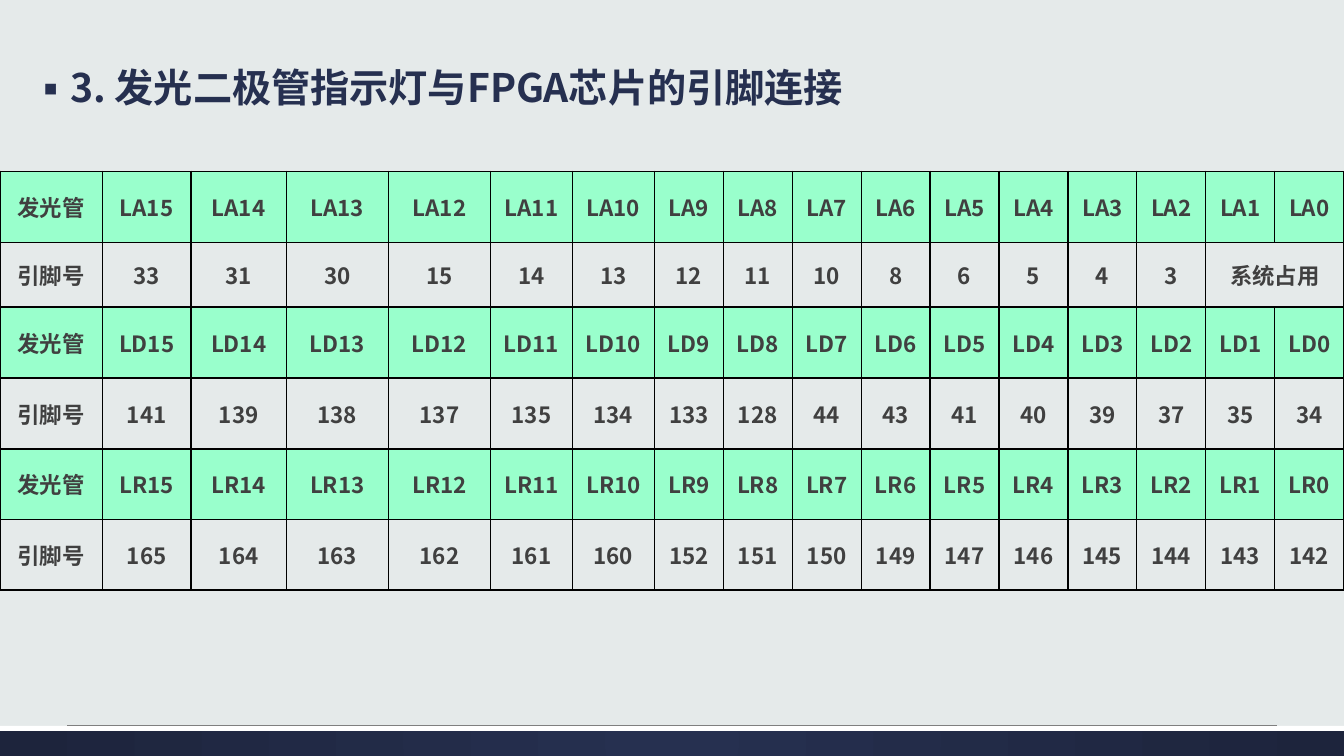
from lxml import etree
from pptx import Presentation
from pptx.dml.color import RGBColor
from pptx.enum import shapes, text
from pptx.oxml import ns
from pptx.util import Pt

BACKGROUND = RGBColor(0xE5, 0xEA, 0xEA)
NAVY = RGBColor(0x26, 0x30, 0x50)
DARK_NAVY = RGBColor(0x1D, 0x24, 0x3C)
WHITE = RGBColor(0xFF, 0xFF, 0xFF)
GREY = RGBColor(0x7F, 0x7F, 0x7F)
MINT = RGBColor(0x99, 0xFF, 0xCC)
CHARCOAL = RGBColor(0x40, 0x40, 0x40)
BLACK = RGBColor(0, 0, 0)
SANS = "Noto Sans CJK SC"
SERIF = "Times New Roman"


def write(frame, words, size, color, font=SANS, align=text.PP_ALIGN.LEFT):
    paragraph = frame.paragraphs[0]
    paragraph.alignment = align
    run = paragraph.add_run()
    run.text = words
    run.font.size = Pt(size)
    run.font.bold = True
    run.font.color.rgb = color
    run.font.name = font
    etree.SubElement(run.font._element, ns.qn("a:ea"), typeface=SANS)
    return paragraph


def add_borders(cell, widths):
    properties = cell._tc.get_or_add_tcPr()
    for position, (side, width) in enumerate(widths.items()):
        line = etree.Element(ns.qn("a:ln" + side), w=str(Pt(width)))
        fill = etree.SubElement(line, ns.qn("a:solidFill"))
        etree.SubElement(fill, ns.qn("a:srgbClr"), val=str(BLACK))
        properties.insert(position, line)


deck = Presentation()
deck.slide_width, deck.slide_height = Pt(960), Pt(540)
slide = deck.slides.add_slide(deck.slide_layouts[6])
slide.background.fill.solid()
slide.background.fill.fore_color.rgb = BACKGROUND

footer = slide.shapes.add_shape(
    shapes.MSO_SHAPE.RECTANGLE, Pt(0), Pt(518.4), Pt(960), Pt(21.6))
footer.shadow.inherit = False
footer.line.fill.background()
footer.fill.gradient()
for stop, color in zip(footer.fill.gradient_stops, (NAVY, DARK_NAVY)):
    stop.color.rgb = color
gradient = footer._element.spPr.find(ns.qn("a:gradFill"))
gradient.remove(gradient.find(ns.qn("a:lin")))
radial = etree.SubElement(gradient, ns.qn("a:path"), path="circle")
etree.SubElement(radial, ns.qn("a:fillToRect"),
                 {side: "50000" for side in "ltrb"})

stripe = slide.shapes.add_shape(
    shapes.MSO_SHAPE.RECTANGLE, Pt(0), Pt(518.4), Pt(960), Pt(3.6))
stripe.shadow.inherit = False
stripe.line.fill.background()
stripe.fill.solid()
stripe.fill.fore_color.rgb = WHITE

rule = slide.shapes.add_connector(
    shapes.MSO_CONNECTOR.STRAIGHT, Pt(48), Pt(518), Pt(912), Pt(518))
rule.line.color.rgb = GREY
rule.line.width = Pt(0.5)
etree.SubElement(rule._element.spPr, ns.qn("a:effectLst"))

heading = slide.shapes.add_textbox(Pt(11.5), Pt(49), Pt(929.5), Pt(453.6))
heading.text_frame.word_wrap = True
heading.text_frame.margin_top = Pt(0)
title = write(heading.text_frame, "3. 发光二极管指示灯与FPGA芯片的引脚连接", 28, NAVY)
title.line_spacing = 0.9
title.space_before = Pt(18)
bullet = title._p.get_or_add_pPr()
bullet.set("marL", str(Pt(21.6)))
bullet.set("indent", str(-Pt(18)))
bullet_color = etree.SubElement(bullet, ns.qn("a:buClr"))
etree.SubElement(bullet_color, ns.qn("a:srgbClr"), val=str(NAVY))
etree.SubElement(bullet, ns.qn("a:buFont"), typeface=SANS)
etree.SubElement(bullet, ns.qn("a:buChar"), char="▪")

pins_by_group = {
    "LA": [33, 31, 30, 15, 14, 13, 12, 11, 10, 8, 6, 5, 4, 3, "系统占用", ""],
    "LD": [141, 139, 138, 137, 135, 134, 133, 128,
           44, 43, 41, 40, 39, 37, 35, 34],
    "LR": [165, 164, 163, 162, 161, 160, 152, 151,
           150, 149, 147, 146, 145, 144, 143, 142],
}
rows = []
for group, pins in pins_by_group.items():
    rows.append(["发光管"] + [f"{group}{number}" for number in range(15, -1, -1)])
    rows.append(["引脚号"] + [str(pin) for pin in pins])

column_widths = [73, 63.5, 68, 73, 73, 58.5, 58.5] + [49.25] * 10
row_heights = [50.5, 46.5] + [50.5] * 4
pin_table = slide.shapes.add_table(
    len(rows), len(column_widths), Pt(0), Pt(122.5),
    Pt(sum(column_widths)), Pt(sum(row_heights))).table
pin_table.first_row = False
pin_table.horz_banding = False
for column, width in zip(pin_table.columns, column_widths):
    column.width = Pt(width)
for row, height in zip(pin_table.rows, row_heights):
    row.height = Pt(height)
pin_table.cell(1, 15).merge(pin_table.cell(1, 16))

last = len(column_widths) - 1
for r, labels in enumerate(rows):
    is_led_row = r % 2 == 0
    for c, label in enumerate(labels):
        cell = pin_table.cell(r, c)
        cell.vertical_anchor = text.MSO_ANCHOR.MIDDLE
        cell.margin_left = cell.margin_right = Pt(7.2)
        cell.margin_top = cell.margin_bottom = Pt(0)
        if is_led_row:
            cell.fill.solid()
            cell.fill.fore_color.rgb = MINT
        else:
            cell.fill.background()
        add_borders(cell, {
            "L": 1.5 if c == 0 else 1,
            "R": 1.5 if c == last else 1,
            "T": 1.5 if is_led_row else 1,
            "B": 1 if is_led_row else 1.5,
        })
        if label:
            write(cell.text_frame, label, 16, CHARCOAL,
                  font=SANS if label.isascii() else SERIF,
                  align=text.PP_ALIGN.CENTER)

deck.save("out.pptx")
